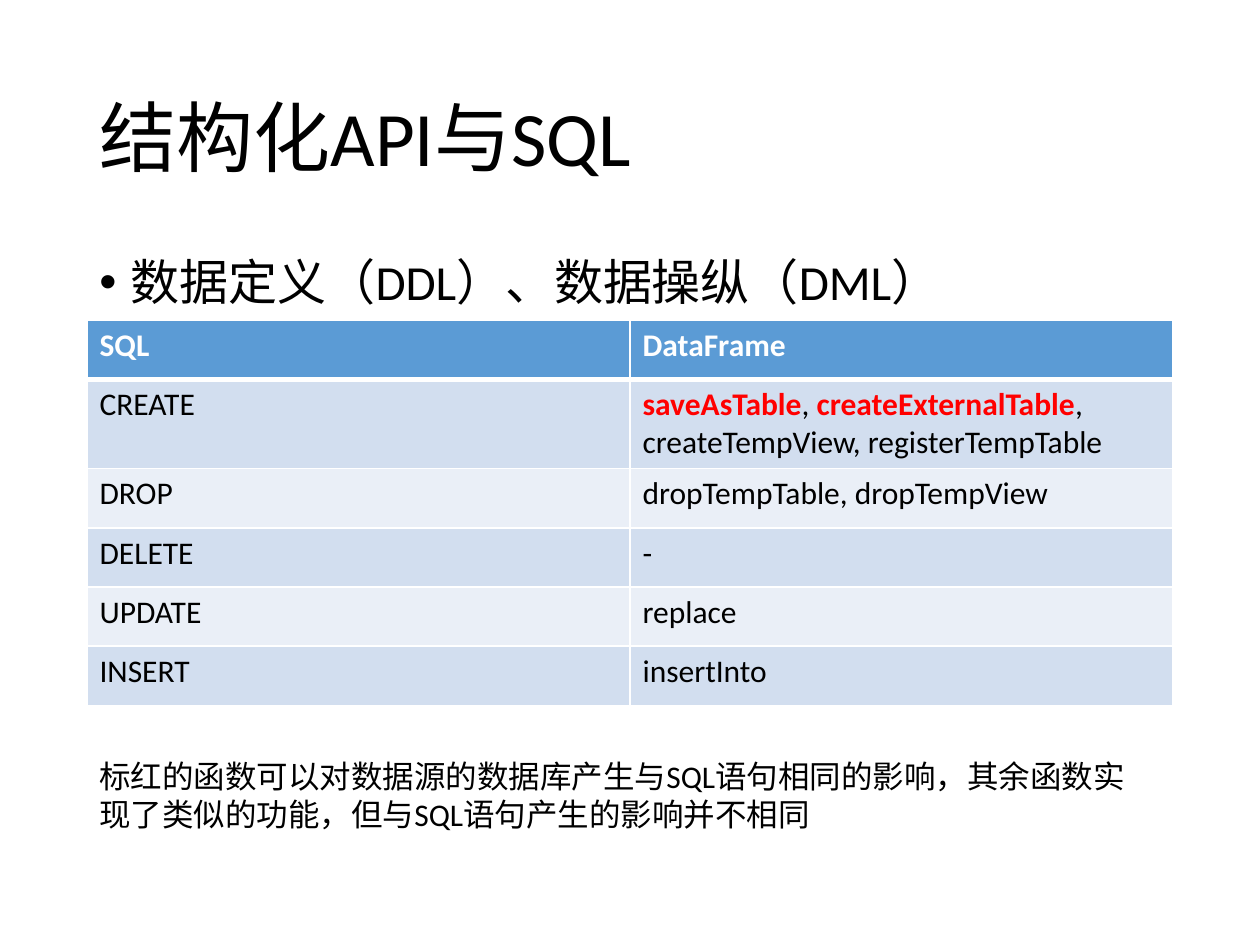
from typing import NamedTuple

from lxml.etree import SubElement
from pptx import Presentation
from pptx.dml.color import RGBColor
from pptx.enum.text import MSO_ANCHOR as Anchor
from pptx.oxml.ns import qn
from pptx.util import Inches, Pt

WIDTH, HEIGHT = 10, 7.5
MARGIN = 0.69
CONTENT = WIDTH - 2 * MARGIN
ROW = 0.47
TALL_ROW = 0.71
FONT = "Calibri"
BLACK, WHITE, RED = "000000", "FFFFFF", "FF0000"
HEADER, BANDS = "5B9BD5", ("D2DEEF", "EAEFF7")


class Span(NamedTuple):
    text: str
    marked: bool = False


class Operation(NamedTuple):
    sql: str
    functions: tuple[Span, ...]
    height: float = ROW


OPERATIONS = (
    Operation("CREATE", (
        Span("saveAsTable", True), Span(", "), Span("createExternalTable", True),
        Span(", createTempView, registerTempTable"),
    ), TALL_ROW),
    Operation("DROP", (Span("dropTempTable, dropTempView"),)),
    Operation("DELETE", (Span("-"),)),
    Operation("UPDATE", (Span("replace"),)),
    Operation("INSERT", (Span("insertInto"),)),
)


def color(value: str) -> RGBColor:
    """Turn a hex string into a colour."""
    return RGBColor.from_string(value)


def write(para, text: str, *, size: float = 18, fill: str = BLACK, bold: bool = False) -> None:
    """Add one formatted run to a paragraph."""
    span = para.add_run()
    span.text = text
    font = span.font
    font.name, font.size, font.bold = FONT, Pt(size), bold
    font.color.rgb = color(fill)


def add_text(page, text: str, *, top: float, height: float, width: float = CONTENT,
             size: float = 18, anchor=Anchor.TOP, spacing: float = 1, bullet: str = "") -> None:
    """Add a wrapped text box at the left margin."""
    box = page.shapes.add_textbox(Inches(MARGIN), Inches(top), Inches(width), Inches(height))
    frame = box.text_frame
    frame.word_wrap = True
    frame.vertical_anchor = anchor
    para = frame.paragraphs[0]
    if bullet:
        props = para._p.get_or_add_pPr()
        props.set("marL", str(Inches(0.25)))
        props.set("indent", str(-Inches(0.25)))
        SubElement(props, qn("a:buFont"), typeface="Arial")
        SubElement(props, qn("a:buChar"), char=bullet)
    para.line_spacing = spacing
    write(para, text, size=size)


def add_borders(cell, **widths: float) -> None:
    """Draw white cell borders with the given widths by side."""
    props = cell._tc.get_or_add_tcPr()
    for side in "LRTB":
        line = SubElement(props, qn(f"a:ln{side}"), w=str(Pt(widths.get(side, 1))))
        fill = SubElement(line, qn("a:solidFill"))
        SubElement(fill, qn("a:srgbClr"), val=WHITE)


def fill_cell(cell, spans: tuple[Span, ...], fill: str, *, header: bool = False,
              **borders: float) -> None:
    """Write a cell's spans and set its borders and fill."""
    add_borders(cell, **borders)
    cell.fill.solid()
    cell.fill.fore_color.rgb = color(fill)
    base = WHITE if header else BLACK
    for text, marked in spans:
        write(cell.text_frame.paragraphs[0], text,
              fill=RED if marked else base, bold=header or marked)


def add_operations(page, top: float) -> None:
    """Add the table that pairs SQL statements with functions."""
    rows = (Operation("SQL", (Span("DataFrame"),)),) + OPERATIONS
    total = sum(row.height for row in rows)
    table = page.shapes.add_table(len(rows), 2, Inches(MARGIN), Inches(top),
                                  Inches(CONTENT), Inches(total)).table
    for index, row in enumerate(rows):
        table.rows[index].height = Inches(row.height)
        header = index == 0
        fill = HEADER if header else BANDS[(index - 1) % 2]
        borders = {0: {"B": 3}, 1: {"T": 3}}.get(index, {})
        for column, spans in enumerate(((Span(row.sql),), row.functions)):
            fill_cell(table.cell(index, column), spans, fill, header=header, **borders)


def main() -> None:
    """Build and save the slide."""
    deck = Presentation()
    deck.slide_width, deck.slide_height = Inches(WIDTH), Inches(HEIGHT)
    page = deck.slides.add_slide(deck.slide_layouts[6])
    add_text(page, "结构化API与SQL", top=0.4, height=1.45, size=44,
             anchor=Anchor.MIDDLE, spacing=0.9)
    add_text(page, "数据定义（DDL）、数据操纵（DML）", top=2, height=4.76, size=28,
             spacing=0.9, bullet="•")
    add_operations(page, top=2.54)
    add_text(page, "标红的函数可以对数据源的数据库产生与SQL语句相同的影响，"
             "其余函数实现了类似的功能，但与SQL语句产生的影响并不相同",
             top=5.96, height=0.71, width=8.49)
    deck.save("out.pptx")


if __name__ == "__main__":
    main()
